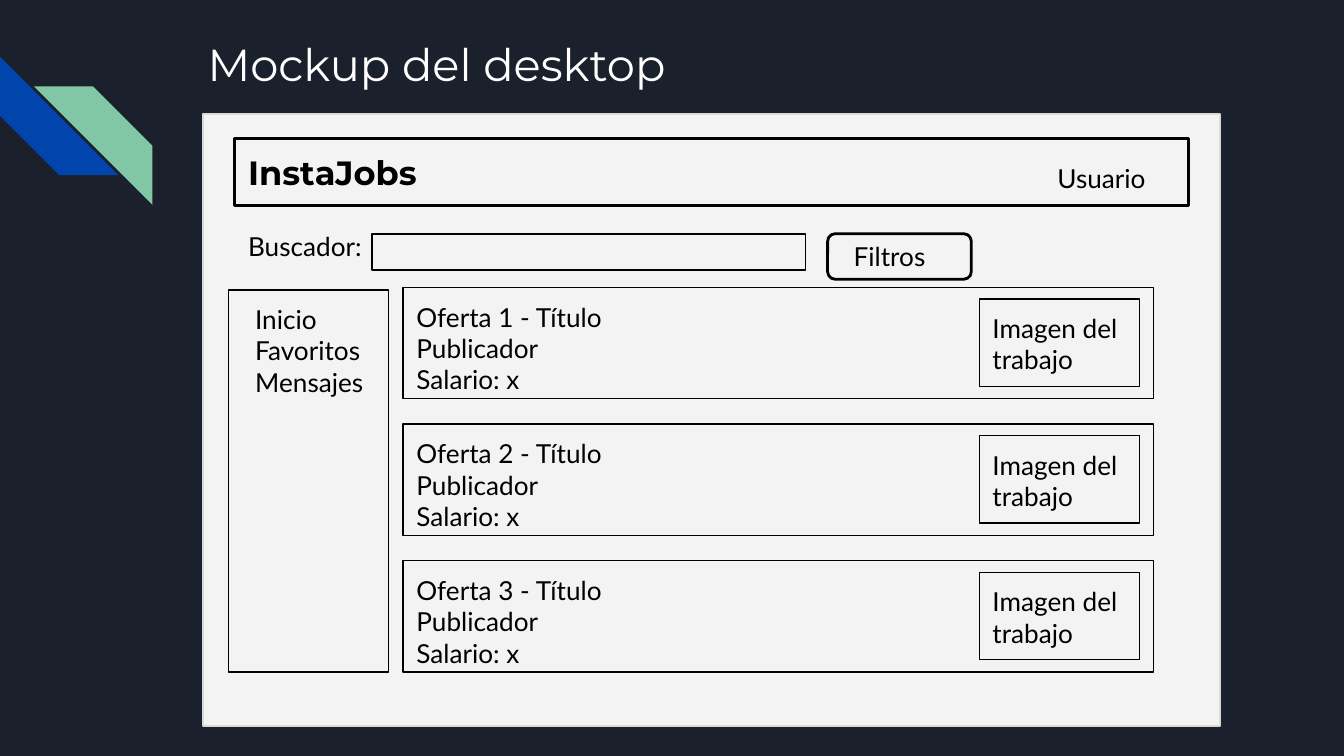
from dataclasses import dataclass

from pptx import Presentation
from pptx.dml.color import RGBColor
from pptx.enum.shapes import MSO_SHAPE
from pptx.enum.text import MSO_ANCHOR, MSO_AUTO_SIZE, PP_ALIGN
from pptx.util import Pt


@dataclass(frozen=True)
class Theme:
    background: str = "1B212C"
    blue: str = "0145AC"
    green: str = "82C7A5"
    canvas: str = "F3F3F3"
    canvas_edge: str = "D9D9D9"
    ink: str = "000000"
    title_ink: str = "FFFFFF"
    heading_font: str = "Montserrat"
    body_font: str = "Lato"
    title_size: float = 24
    brand_size: float = 18
    body_size: float = 14
    inset: float = 7.2
    thin: float = 0.75
    thick: float = 1.5


class Mockup:
    def __init__(self, slide, theme):
        self.slide = slide
        self.theme = theme
        slide.background.fill.solid()
        slide.background.fill.fore_color.rgb = RGBColor.from_string(theme.background)

    def add_lines(self, frame, lines, size=None, font=None, color=None, bold=False, indent=0):
        theme = self.theme
        frame.word_wrap = True
        frame.auto_size = MSO_AUTO_SIZE.NONE
        frame.vertical_anchor = MSO_ANCHOR.TOP
        frame.margin_left = frame.margin_right = Pt(theme.inset)
        frame.margin_top = frame.margin_bottom = Pt(theme.inset)
        for number, line in enumerate(lines):
            paragraph = frame.add_paragraph() if number else frame.paragraphs[0]
            paragraph.alignment = PP_ALIGN.LEFT
            paragraph.line_spacing = 1.0
            paragraph.space_before = Pt(0)
            if indent:
                paragraph._p.get_or_add_pPr().set("marL", str(Pt(indent)))
            run = paragraph.add_run()
            run.text = line
            run.font.size = Pt(size or theme.body_size)
            run.font.name = font or theme.body_font
            run.font.bold = bold
            run.font.color.rgb = RGBColor.from_string(color or theme.ink)

    def title(self, text, box):
        heading = self.slide.shapes.title
        heading.left, heading.top, heading.width, heading.height = map(Pt, box)
        self.add_lines(heading.text_frame, [text], self.theme.title_size,
                       self.theme.heading_font, self.theme.title_ink)

    def shape(self, box, kind=MSO_SHAPE.RECTANGLE, fill=None, line=None, weight=None):
        shape = self.slide.shapes.add_shape(kind, *map(Pt, box))
        shape.shadow.inherit = False
        if fill:
            shape.fill.solid()
            shape.fill.fore_color.rgb = RGBColor.from_string(fill)
        else:
            shape.fill.background()
        if line:
            shape.line.color.rgb = RGBColor.from_string(line)
            shape.line.width = Pt(weight or self.theme.thin)
        else:
            shape.line.fill.background()
        return shape

    def stripe(self, box, color, rotation=0, flipped=False):
        stripe = self.shape(box, MSO_SHAPE.DIAGONAL_STRIPE, fill=color)
        stripe.rotation = rotation
        if flipped:
            stripe._element.spPr.xfrm.set("flipH", "1")

    def panel(self, box, lines=(), kind=MSO_SHAPE.RECTANGLE, weight=None, **style):
        panel = self.shape(box, kind, line=self.theme.ink, weight=weight)
        if lines:
            self.add_lines(panel.text_frame, lines, **style)

    def label(self, text, box):
        label = self.slide.shapes.add_textbox(*map(Pt, box))
        self.add_lines(label.text_frame, [text])


def main():
    presentation = Presentation()
    presentation.slide_width, presentation.slide_height = Pt(720), Pt(405)
    theme = Theme()
    mockup = Mockup(presentation.slides.add_slide(presentation.slide_layouts[5]), theme)

    # Corner decoration and title
    mockup.stripe((0, 30.4, 63.4, 63.4), theme.blue, rotation=270)
    mockup.stripe((18.2, 46.3, 63.4, 63.4), theme.green, flipped=True)
    mockup.title("Mockup del desktop", (104, 12.2, 554, 43.2))

    # Page canvas and header bar
    mockup.shape((108.7, 61, 545, 328), fill=theme.canvas, line=theme.canvas_edge)
    mockup.panel((125.8, 74, 511, 36.2), ["InstaJobs"], weight=theme.thick,
                 size=theme.brand_size, font=theme.heading_font, bold=True)
    mockup.label("Usuario", (559.4, 79.9, 62.6, 24.5))

    # Search row
    mockup.label("Buscador:", (125.8, 116, 90, 24.5))
    mockup.panel((199.3, 125.4, 232.3, 19.4))
    mockup.label("Filtros", (450.2, 121.7, 57, 21))
    mockup.panel((443.4, 125.2, 77, 24.4), kind=MSO_SHAPE.ROUNDED_RECTANGLE,
                 weight=theme.thick)

    # Side menu
    mockup.panel((122.4, 155.4, 85.7, 204.6), ["Inicio", "Favoritos", "Mensajes"],
                 indent=7.2)

    # Job offers, each with its image box
    first_top, pitch = 154, 73.2
    for index in range(3):
        top = first_top + index * pitch
        mockup.panel((216, top, 402, 59.6),
                     [f"Oferta {index + 1} - Título", "Publicador", "Salario: x"])
        mockup.panel((524.6, top + 6.2, 86, 46.8), ["Imagen del", "trabajo"])

    presentation.save("out.pptx")


if __name__ == "__main__":
    main()
